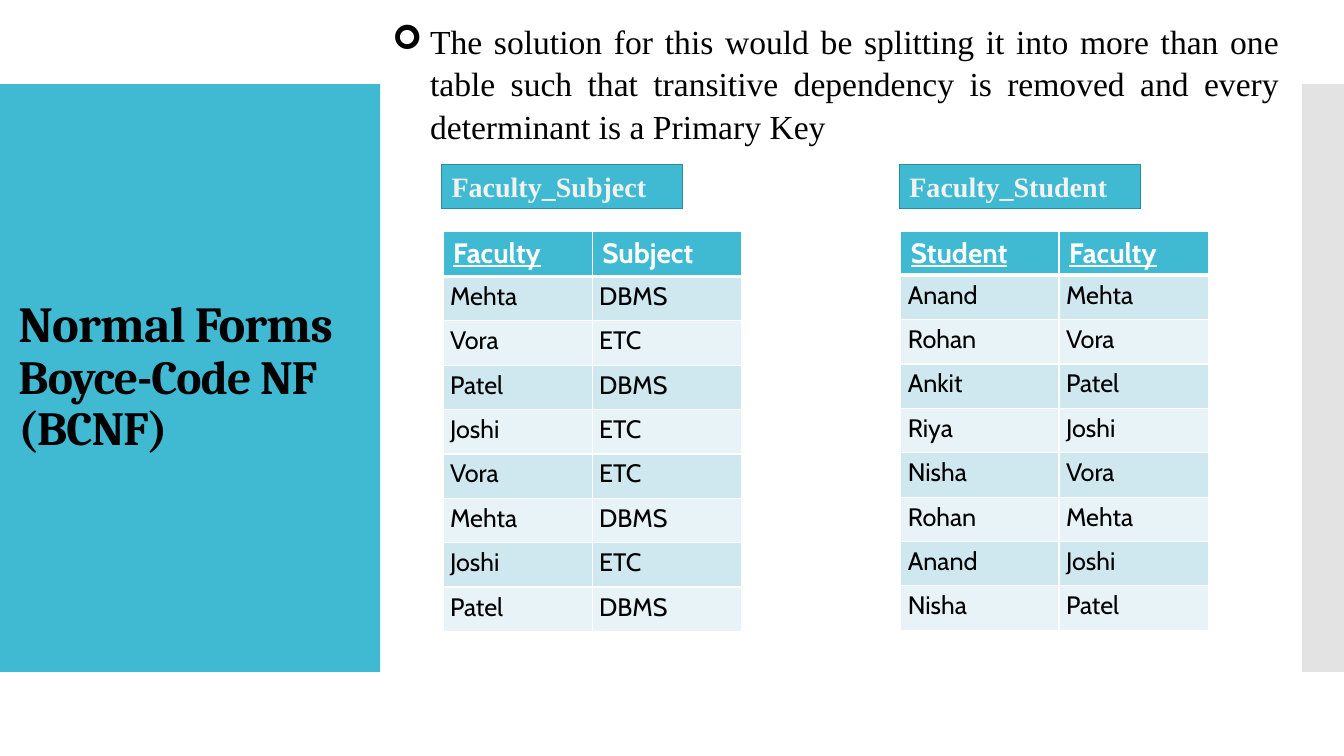
from lxml.etree import SubElement
from pptx import Presentation
from pptx.dml.color import RGBColor
from pptx.enum.shapes import MSO_SHAPE
from pptx.enum.text import MSO_ANCHOR, MSO_AUTO_SIZE, PP_ALIGN
from pptx.oxml.ns import qn
from pptx.util import Pt

TEAL = RGBColor(0x40, 0xBA, 0xD2)
DARK_TEAL = RGBColor(0x2F, 0x8A, 0x9B)
GRAY = RGBColor(0xC8, 0xC8, 0xC8)
BLACK = RGBColor(0, 0, 0)
WHITE = RGBColor(0xFF, 0xFF, 0xFF)
OFF_WHITE = RGBColor(0xF2, 0xF2, 0xF2)
ROW_FILLS = (RGBColor(0xCF, 0xE7, 0xEE), RGBColor(0xE8, 0xF3, 0xF7))

TABLE_TOP = 165
ROW_HEIGHT = 31.7
KEY_COLUMNS = ("Student", "Faculty")
FACULTY_SUBJECT = [
    ("Faculty", "Subject"),
    ("Mehta", "DBMS"), ("Vora", "ETC"), ("Patel", "DBMS"), ("Joshi", "ETC"),
    ("Vora", "ETC"), ("Mehta", "DBMS"), ("Joshi", "ETC"), ("Patel", "DBMS"),
]
FACULTY_STUDENT = [
    ("Student", "Faculty"),
    ("Anand", "Mehta"), ("Rohan", "Vora"), ("Ankit", "Patel"), ("Riya", "Joshi"),
    ("Nisha", "Vora"), ("Rohan", "Mehta"), ("Anand", "Joshi"), ("Nisha", "Patel"),
]


def place(shape, left, top, width, height):
    shape.left, shape.top = Pt(left), Pt(top)
    shape.width, shape.height = Pt(width), Pt(height)


def format_font(font, name, size, color, bold=False):
    font.name = name
    font.size = Pt(size)
    font.bold = bold
    font.color.rgb = color


def add_rectangle(slide, left, top, width, height, color):
    shape = slide.shapes.add_shape(
        MSO_SHAPE.RECTANGLE, Pt(left), Pt(top), Pt(width), Pt(height))
    shape.shadow.inherit = False
    shape.fill.solid()
    shape.fill.fore_color.rgb = color
    shape.line.fill.background()
    return shape


def add_side_bands(slide):
    """Put the teal and the half-transparent gray band behind everything else."""
    teal_band = add_rectangle(slide, 0, 60, 271.5, 420, TEAL)
    gray_band = add_rectangle(slide, 930, 60, 30, 420, GRAY)
    color = gray_band._element.spPr.find(qn("a:solidFill"))[0]
    SubElement(color, qn("a:alpha"), val="50000")
    for band in (gray_band, teal_band):
        slide.shapes._spTree.insert(2, band._element)


def fill_title(title):
    place(title, 6, 88.5, 259, 362)
    frame = title.text_frame
    frame.text = "Normal Forms\vBoyce-Code NF\v(BCNF)"
    frame.auto_size = MSO_AUTO_SIZE.NONE
    frame.vertical_anchor = MSO_ANCHOR.MIDDLE
    paragraph = frame.paragraphs[0]
    paragraph.alignment = PP_ALIGN.LEFT
    paragraph.line_spacing = 0.9
    for run, size in zip(paragraph.runs, (36, 34, 34)):
        format_font(run.font, "Cambria", size, BLACK, bold=True)
        run._r.get_or_add_rPr().set("spc", "-60")
    for line_break in paragraph._p.findall(qn("a:br")):
        SubElement(line_break, qn("a:rPr"), sz="3400")


def fill_body(body):
    place(body, 273, 10, 648, 94.5)
    frame = body.text_frame
    frame.text = ("The solution for this would be splitting it into more than one table "
                  "such that transitive dependency is removed and every determinant "
                  "is a Primary Key")
    frame.auto_size = MSO_AUTO_SIZE.NONE
    frame.vertical_anchor = MSO_ANCHOR.TOP
    paragraph = frame.paragraphs[0]
    paragraph.alignment = PP_ALIGN.JUSTIFY
    paragraph.line_spacing = 1.05
    paragraph.space_before = Pt(0)
    properties = paragraph._p.get_or_add_pPr()
    properties.set("marL", str(Pt(27)))
    properties.set("indent", str(-Pt(27)))
    SubElement(properties, qn("a:buFont"), typeface="Wingdings")
    SubElement(properties, qn("a:buChar"), char="➢")
    format_font(paragraph.runs[0].font, "Times New Roman", 24, BLACK)


def add_table_label(slide, left, text):
    label = add_rectangle(slide, left, 117.4, 172, 31.5, TEAL)
    label.line.color.rgb = DARK_TEAL
    label.line.width = Pt(0.85)
    label.text_frame.text = text
    label.text_frame.vertical_anchor = MSO_ANCHOR.TOP
    paragraph = label.text_frame.paragraphs[0]
    paragraph.alignment = PP_ALIGN.LEFT
    format_font(paragraph.runs[0].font, "Times New Roman", 20, OFF_WHITE, bold=True)


def add_cell_borders(cell, bottom_width):
    properties = cell._tc.get_or_add_tcPr()
    for side, width in (("L", 1), ("R", 1), ("T", 1), ("B", bottom_width)):
        line = SubElement(properties, qn(f"a:ln{side}"), w=str(Pt(width)))
        SubElement(SubElement(line, qn("a:solidFill")), qn("a:srgbClr"), val=str(WHITE))


def format_cell(cell, text, row_index):
    is_header = row_index == 0
    cell.text = text
    paragraph = cell.text_frame.paragraphs[0]
    font = paragraph.runs[0].font
    add_cell_borders(cell, 3 if is_header else 1)
    cell.fill.solid()
    if is_header:
        cell.fill.fore_color.rgb = TEAL
        format_font(font, "Cabin", 20, WHITE, bold=True)
        font.underline = text in KEY_COLUMNS
    else:
        cell.fill.fore_color.rgb = ROW_FILLS[(row_index - 1) % 2]
        format_font(font, "Cabin", 18, BLACK)
        paragraph.line_spacing = 1.15
        cell.margin_left = cell.margin_right = Pt(5)
        cell.margin_top = cell.margin_bottom = Pt(0)


def add_relation(slide, name, left, column_widths, header_height, rows):
    add_table_label(slide, left, name)
    height = header_height + ROW_HEIGHT * (len(rows) - 1)
    table = slide.shapes.add_table(
        len(rows), len(column_widths), Pt(left + 1), Pt(TABLE_TOP),
        Pt(sum(column_widths)), Pt(height)).table
    for column, width in zip(table.columns, column_widths):
        column.width = Pt(width)
    for row_index, values in enumerate(rows):
        table.rows[row_index].height = Pt(ROW_HEIGHT if row_index else header_height)
        for column_index, text in enumerate(values):
            format_cell(table.cell(row_index, column_index), text, row_index)


def main():
    presentation = Presentation()
    presentation.slide_width, presentation.slide_height = Pt(960), Pt(540)
    slide = presentation.slides.add_slide(presentation.slide_layouts[1])
    fill_title(slide.shapes.title)
    fill_body(slide.placeholders[1])
    add_side_bands(slide)
    add_relation(slide, "Faculty_Student", 642.5, (113, 106.5), 31, FACULTY_STUDENT)
    add_relation(slide, "Faculty_Subject", 315.5, (106.5, 106.5), 32.5, FACULTY_SUBJECT)
    presentation.save("out.pptx")


if __name__ == "__main__":
    main()
